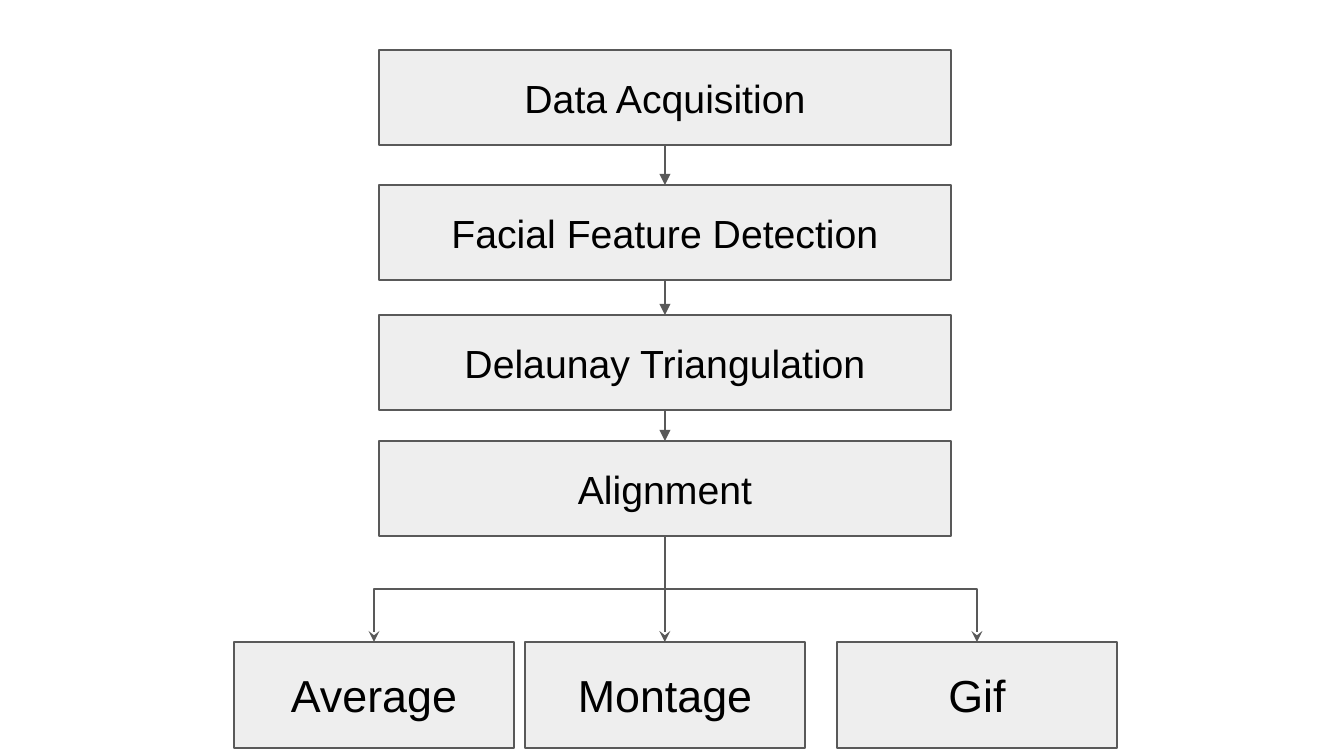
from lxml import etree
from pptx import Presentation
from pptx import util as u
from pptx.dml.color import RGBColor
from pptx.enum import shapes, text
from pptx.oxml.ns import qn

PX = 914400 / 134.4
COLORS = {"fill": "EEEEEE", "line": "595959", "text": "000000"}
FONT = "Arial"

STEPS = [
    ("Data Acquisition", 50),
    ("Facial Feature Detection", 185),
    ("Delaunay Triangulation", 315),
    ("Alignment", 441),
]
OUTPUTS = [("Average", 0), ("Montage", 291), ("Gif", 603)]
BOTTOM, TOP = 2, 0  # connection sites of a rectangle


def px(length):
    return u.Emu(round(length * PX))


def color(name):
    return RGBColor.from_string(COLORS[name])


def style_line(line):
    line.color.rgb = color("line")
    line.width = u.Pt(0.75)


def add_label(frame, label, *, size):
    frame.word_wrap = True
    frame.vertical_anchor = text.MSO_ANCHOR.MIDDLE
    frame.margin_left = frame.margin_right = px(13)
    frame.margin_top = frame.margin_bottom = px(13)
    para = frame.paragraphs[0]
    para.alignment = text.PP_ALIGN.CENTER
    span = para.add_run()
    span.text = label
    span.font.name = FONT
    span.font.size = u.Pt(size)
    span.font.color.rgb = color("text")


def add_box(page, label, left, top, width, height, *, size):
    box = page.shapes.add_shape(
        shapes.MSO_SHAPE.RECTANGLE, px(left), px(top), px(width), px(height))
    box.shadow.inherit = False
    box.fill.solid()
    box.fill.fore_color.rgb = color("fill")
    style_line(box.line)
    add_label(box.text_frame, label, size=size)
    return box


def add_arrow(page, start, end, *, kind, head):
    """Join the bottom of one box to the top of another."""
    arrow = page.shapes.add_connector(kind, 0, 0, 0, 0)
    arrow.begin_connect(start, BOTTOM)
    arrow.end_connect(end, TOP)
    style_line(arrow.line)
    etree.SubElement(arrow.line._get_or_add_ln(), qn("a:tailEnd"), type=head)
    etree.SubElement(arrow._element.spPr, qn("a:effectLst"))
    return arrow


def turn_downward(arrow):
    """Rotate an elbow so that it leaves and arrives vertically."""
    x1, y1, x2, y2 = arrow.begin_x, arrow.begin_y, arrow.end_x, arrow.end_y
    drop, spread = y2 - y1, abs(x2 - x1)
    frame = arrow._element.spPr.find(qn("a:xfrm"))
    frame.attrib.clear()
    arrow.width, arrow.height = u.Emu(drop), u.Emu(spread)
    arrow.left = u.Emu((x1 + x2 - drop) // 2)
    arrow.top = u.Emu((y1 + y2 - spread) // 2)
    if x2 < x1:
        frame.set("rot", str(90 * 60000))
    else:
        frame.set("rot", str(270 * 60000))
        frame.set("flipH", "1")


def add_steps(page, left, width):
    """Stack the steps, join them, and return the last one."""
    boxes = [add_box(page, label, left, top, width, 95, size=21)
             for label, top in STEPS]
    for start, end in zip(boxes, boxes[1:]):
        add_arrow(page, start, end, kind=shapes.MSO_CONNECTOR.STRAIGHT,
                  head="triangle")
    return boxes[-1]


def add_outputs(page, source, left, top):
    for label, offset in OUTPUTS:
        box = add_box(page, label, left + offset, top, 280, 106, size=24)
        arrow = add_arrow(page, source, box, kind=shapes.MSO_CONNECTOR.ELBOW,
                          head="stealth")
        turn_downward(arrow)


def main():
    deck = Presentation()
    deck.slide_width, deck.slide_height = px(1344), px(756)
    page = deck.slides.add_slide(deck.slide_layouts[6])
    alignment = add_steps(page, 379, 572)
    add_outputs(page, alignment, 234, 642)
    deck.save("out.pptx")


if __name__ == "__main__":
    main()
